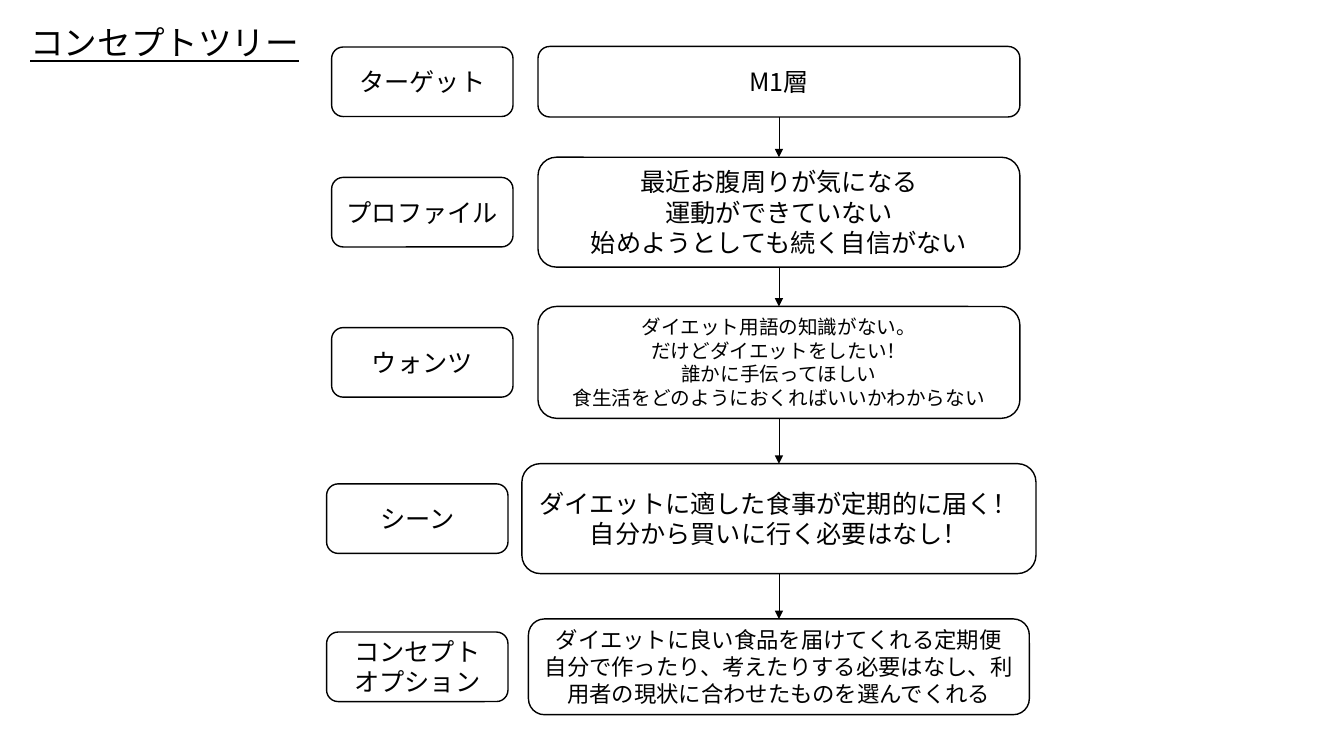
from lxml import etree
from pptx import Presentation
from pptx.dml.color import RGBColor
from pptx.enum.shapes import MSO_CONNECTOR, MSO_SHAPE
from pptx.enum.text import MSO_ANCHOR, MSO_AUTO_SIZE, PP_ALIGN
from pptx.oxml.ns import qn
from pptx.util import Pt

ROUND = MSO_SHAPE.ROUNDED_RECTANGLE
LINE = MSO_CONNECTOR.STRAIGHT
LEFT, CENTER = PP_ALIGN.LEFT, PP_ALIGN.CENTER
TOP, MIDDLE = MSO_ANCHOR.TOP, MSO_ANCHOR.MIDDLE
FIXED = MSO_AUTO_SIZE.NONE

FONT = "Noto Sans CJK JP"
COLORS = {"ink": "000000", "paper": "FFFFFF"}
AXIS = 556.4
LABEL_W, LABEL_H = 129.6, 49.7

# label, label left, box top, box width, box height, text size, lines
LEVELS = [
    (["ターゲット"], 236.9, 33.2, 344.2, 50.4, 18, ["M1層"]),
    (["プロファイル"], 236.9, 112.3, 344.2, 78.5, 18,
     ["最近お腹周りが気になる", "運動ができていない",
      "始めようとしても続く自信がない"]),
    (["ウォンツ"], 236.9, 218.9, 344.2, 79.9, 14,
     ["ダイエット用語の知識がない。", "だけどダイエットをしたい！",
      "誰かに手伝ってほしい",
      "食生活をどのようにおくればいいかわからない"]),
    (["シーン"], 233.3, 331.2, 367.2, 78.5, 18,
     ["ダイエットに適した食事が定期的に届く！",
      "自分から買いに行く必要はなし！"]),
    (["コンセプト", "オプション"], 233.3, 442.1, 357.8, 68.4, 16,
     ["ダイエットに良い食品を届けてくれる定期便",
      "自分で作ったり、考えたりする必要はなし、"
      "利用者の現状に合わせたものを選んでくれる"]),
]


def color(name):
    return RGBColor.from_string(COLORS[name])


def write(shape, lines, size=18, align=CENTER, anchor=MIDDLE, under=None):
    frame = shape.text_frame
    frame.word_wrap = True
    frame.auto_size = FIXED
    frame.vertical_anchor = anchor
    for i, line in enumerate(lines):
        para = frame.add_paragraph() if i else frame.paragraphs[0]
        para.alignment = align
        run = para.add_run()
        run.text = line
        font = run.font
        font.name, font.size, font.underline = FONT, Pt(size), under
        font.color.rgb = color("ink")
        # East Asian typeface
        etree.SubElement(run.font._element, qn("a:ea"), typeface=FONT)


def add_box(slide, box, lines, size=18):
    shape = slide.shapes.add_shape(ROUND, *map(Pt, box))
    shape.shadow.inherit = False
    shape.fill.solid()
    shape.fill.fore_color.rgb = color("paper")
    shape.line.color.rgb = color("ink")
    shape.line.width = Pt(1)
    write(shape, lines, size=size)


def add_arrow(slide, x, start, end):
    arrow = slide.shapes.add_connector(LINE, Pt(x), Pt(start), Pt(x), Pt(end))
    arrow.line.color.rgb = color("ink")
    arrow.line.width = Pt(0.5)
    props = arrow._element.spPr
    etree.SubElement(props.find(qn("a:ln")), qn("a:tailEnd"), type="triangle")
    etree.SubElement(props, qn("a:effectLst"))


def add_title(slide, box, text):
    title = slide.shapes.title
    title.left, title.top, title.width, title.height = map(Pt, box)
    write(title, [text], size=24, align=LEFT, anchor=TOP, under=True)


def add_level(slide, box, label, side, size, lines):
    left, top, width, height = box
    add_box(slide, box, lines, size)
    # Label centred on the height of its box
    mid = top + (height - LABEL_H) / 2
    add_box(slide, (side, mid, LABEL_W, LABEL_H), label)


def add_tree(slide, axis):
    last = None
    for label, side, top, width, height, size, lines in LEVELS:
        box = (axis - width / 2, top, width, height)
        add_level(slide, box, label, side, size, lines)
        if last is not None:
            add_arrow(slide, axis, last, top)
        last = top + height


deck = Presentation()
deck.slide_width, deck.slide_height = Pt(960), Pt(540)
slide = deck.slides.add_slide(deck.slide_layouts[5])
add_title(slide, (14.4, 12.2, 222.5, 36), "コンセプトツリー")
add_tree(slide, AXIS)
deck.save("out.pptx")
